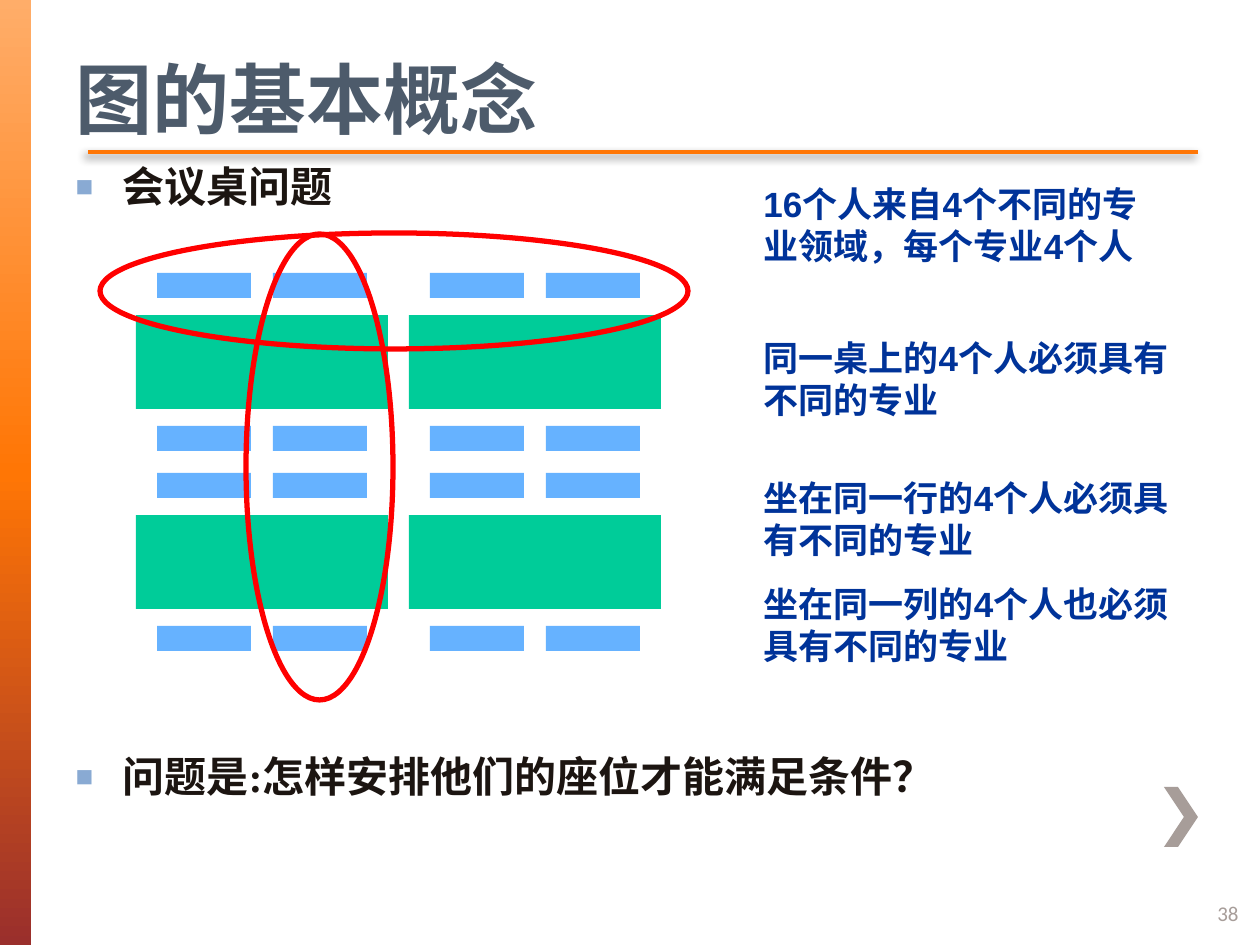
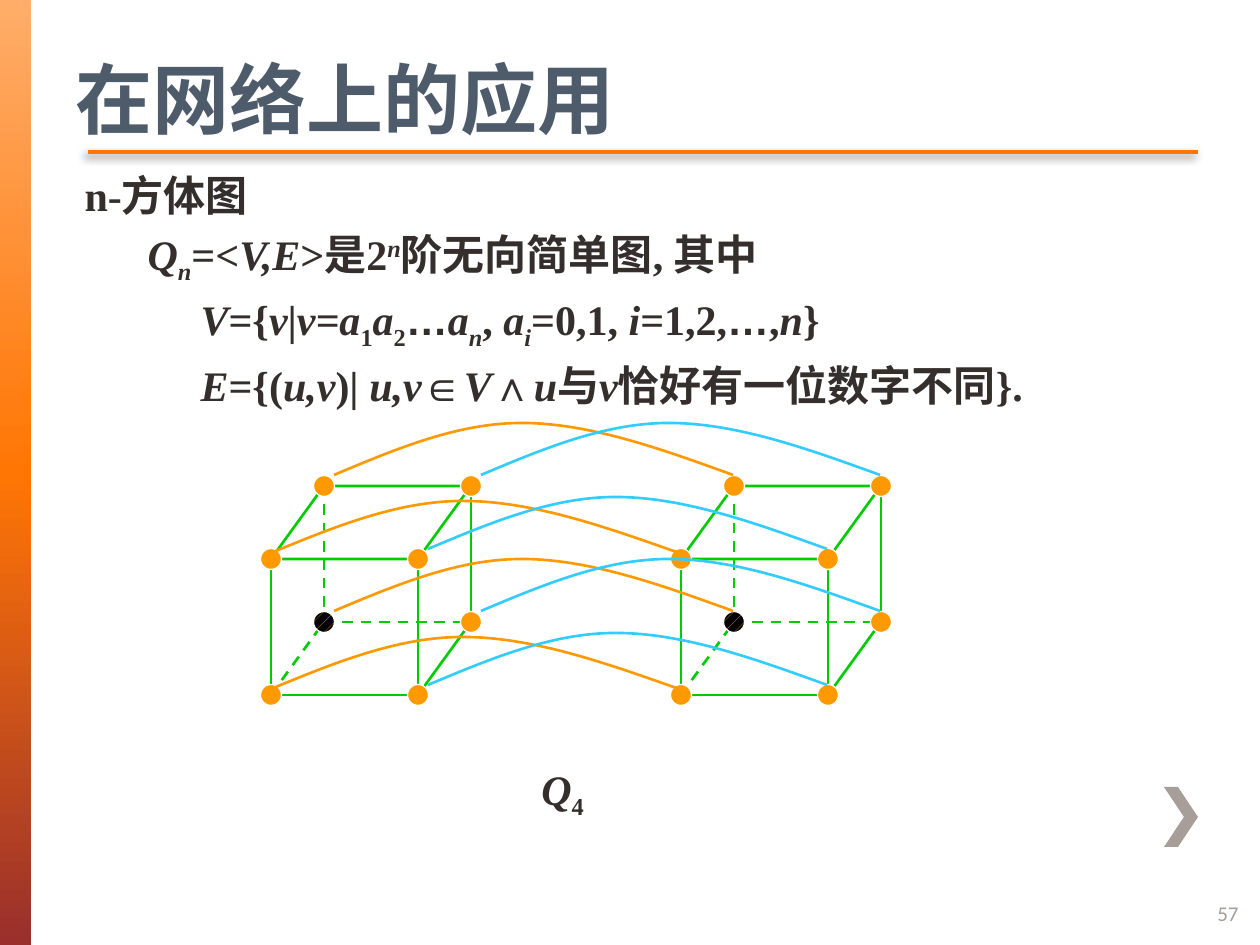
from itertools import combinations, product
from copy import deepcopy

from lxml.etree import SubElement
from pptx import Presentation
from pptx.dml.color import RGBColor
from pptx.enum.dml import MSO_LINE, MSO_PATTERN
from pptx.enum.shapes import MSO_CONNECTOR, MSO_SHAPE
from pptx.enum.text import MSO_ANCHOR, MSO_AUTO_SIZE, PP_ALIGN
from pptx.oxml.ns import qn
from pptx.util import Pt

PX = 914400 // 126
SERIF, SANS, HEAD = "Times New Roman", "Arial", "Calibri"
ORANGE, GREY, SLATE = "FF7605", "A79D99", "4D5B6B"
BAR_STOPS = [(0, "FFAD69"), (0.5, ORANGE), (1, "9A2F2C")]
INK, DARK, NAVY, BULLET = "1C1511", "342E2C", "003399", "89AAD3"
TABLE, SEAT, RING = "00CC99", "3399FF", "FF0000"
EDGE, NODE, SKY = "00CC00", "FF9900", "33CCFF"


def color(value):
    return RGBColor.from_string(value)


def px(*values):
    return [round(value * PX) for value in values]


# Basic parts
def paint(shape, fill=None, line=None, width=1.5):
    shape.shadow.inherit = False
    if fill:
        shape.fill.solid()
        shape.fill.fore_color.rgb = color(fill)
    else:
        shape.fill.background()
    if line:
        shape.line.color.rgb = color(line)
        shape.line.width = Pt(width)
    else:
        shape.line.fill.background()
    return shape


def add_preset(page, kind, box, fill=None, line=None, width=1.5):
    return paint(page.shapes.add_shape(kind, *px(*box)), fill, line, width)


def add_line(page, start, end, line, width=1.5):
    link = page.shapes.add_connector(MSO_CONNECTOR.STRAIGHT, *px(*start, *end))
    link.line.color.rgb = color(line)
    link.line.width = Pt(width)
    effects = SubElement(link._element.spPr, qn("a:effectLst"))
    return link, effects


def add_outline(page, points, closed):
    start, *rest = [px(*point) for point in points]
    builder = page.shapes.build_freeform(*start)
    builder.add_line_segments(rest, close=closed)
    return builder.convert_to_shape()


def set_font(para, name, size, ink, bold=True):
    font = para.font
    font.name, font.size, font.bold = name, Pt(size), bold
    font.color.rgb = color(ink)


def write_spans(para, spans):
    """Style letters: i italic, _ subscript, ^ superscript, a Arial."""
    for text, style in spans:
        span = para.add_run()
        span.text = text
        if "i" in style:
            span.font.italic = True
        if "a" in style:
            span.font.name = SANS
        for mark, shift in (("_", "-25000"), ("^", "30000")):
            if mark in style:
                span._r.get_or_add_rPr().set("baseline", shift)


def add_text(page, box, spans, name, size, ink, bold=True):
    label = page.shapes.add_textbox(*px(*box))
    label.text_frame.word_wrap = True
    para = label.text_frame.paragraphs[0]
    write_spans(para, spans)
    set_font(para, name, size, ink, bold)
    return label


def set_indent(para, left, first):
    props = para._p.get_or_add_pPr()
    props.set("marL", str(px(left)[0]))
    props.set("indent", str(px(first)[0]))
    return props


def place_holder(holder, box):
    holder.left, holder.top, holder.width, holder.height = px(*box)
    frame = holder.text_frame
    frame.auto_size = MSO_AUTO_SIZE.NONE
    frame.vertical_anchor = MSO_ANCHOR.TOP
    frame.word_wrap = True
    return frame


# What every slide shares
def add_side_bar(page, box):
    bar = add_preset(page, MSO_SHAPE.RECTANGLE, box)
    bar.fill.gradient()
    bar.fill.gradient_angle = 270
    stop_list = bar._element.spPr.find(".//" + qn("a:gsLst"))
    stop_list.append(deepcopy(stop_list[0]))
    for stop, (position, value) in zip(bar.fill.gradient_stops, BAR_STOPS):
        stop.position = position
        stop.color.rgb = color(value)


def add_title_rule(page, start, end):
    _, effects = add_line(page, start, end, ORANGE, 2.5)
    shadow = SubElement(effects, qn("a:outerShdw"), blurRad=str(Pt(5)),
                        dist=str(Pt(3)), dir="8100000", rotWithShape="0")
    black = SubElement(shadow, qn("a:srgbClr"), val="000000")
    SubElement(black, qn("a:alpha"), val="45000")


def add_chevron(page, box):
    left, top, width, height = box
    right, middle, bottom = left + width, top + height / 2, top + height
    notch = 14
    points = [(left, top), (left + notch, top), (right, middle),
              (left + notch, bottom), (left, bottom), (right - notch, middle)]
    paint(add_outline(page, points, True), GREY)


def start_page(deck, title, number):
    page = deck.slides.add_slide(deck.slide_layouts[1])
    add_side_bar(page, (0, 0, 31, 945))
    add_chevron(page, (1164, 787, 34, 60))
    add_title_rule(page, (88, 152), (1198, 152))
    para = place_holder(page.shapes.title, (63, 45, 1134, 100)).paragraphs[0]
    para.text = title
    para.alignment = PP_ALIGN.LEFT
    set_font(para, HEAD, 44, SLATE)
    label = add_text(page, (1205, 888, 53, 50), [(number, "")],
                     HEAD, 12, GREY, bold=False)
    label.text_frame.vertical_anchor = MSO_ANCHOR.MIDDLE
    return page


# Meeting table slide
def add_bullets(page, box, lines, gap):
    frame = place_holder(page.placeholders[1], box)
    for index, text in enumerate(lines):
        para = frame.add_paragraph() if index else frame.paragraphs[0]
        para.text = text
        props = set_indent(para, 47, -47)
        tint = SubElement(props, qn("a:buClr"))
        SubElement(tint, qn("a:srgbClr"), val=BULLET)
        SubElement(props, qn("a:buSzPct"), val="70000")
        SubElement(props, qn("a:buChar"), char="■")
        para.line_spacing = 0.9
        para.space_before = Pt(gap if index else 0)
        set_font(para, SERIF, 24, INK)


def add_meeting_table(page, left, top):
    add_preset(page, MSO_SHAPE.RECTANGLE, (left, top + 42, 252, 94), TABLE)
    for dy, dx in product((0, 153), (21, 137)):
        seat = add_preset(page, MSO_SHAPE.RECTANGLE,
                          (left + dx, top + dy, 94, 25), SEAT)
        value = seat._element.spPr.find(".//" + qn("a:srgbClr"))
        SubElement(value, qn("a:alpha"), val="75000")


def add_seating_plan(page, left, top):
    for row, column in product(range(2), repeat=2):
        add_meeting_table(page, left + 273 * column, top + 200 * row)
    # Rings round one row and one column of seats
    for ring in ((-36, -40, 588, 116), (110, -39, 147, 466)):
        dx, dy, width, height = ring
        add_preset(page, MSO_SHAPE.OVAL, (left + dx, top + dy, width, height),
                   line=RING, width=3)


def build_meeting_page(deck):
    page = start_page(deck, "图的基本概念", "38")
    add_bullets(page, (63, 160, 1134, 660),
                ["会议桌问题", "问题是:怎样安排他们的座位才能满足条件？"], 311)
    add_seating_plan(page, 136, 273)
    conditions = [
        (176, "16个人来自4个不同的专业领域，每个专业4个人"),
        (330, "同一桌上的4个人必须具有不同的专业"),
        (470, "坐在同一行的4个人必须具有不同的专业"),
        (576, "坐在同一列的4个人也必须具有不同的专业"),
    ]
    for top, text in conditions:
        add_text(page, (751, top, 431, 97), [(text, "")], SANS, 20, NAVY)


# Hypercube slide
DEFINITION = [
    (0, [("n-方体图", "")]),
    (63, [("Q", "i"), ("n", "i_"), ("=<", ""), ("V,E", "i"), (">是2", ""),
          ("n", "i^"), ("阶无向简单图, 其中", "")]),
    (116, [("V", "i"), ("={", ""), ("v", "i"), ("|", ""), ("v=a", "i"),
           ("1", "_"), ("a", "i"), ("2", "_"), ("…", "a"), ("a", "i"),
           ("n", "i_"), (", ", ""), ("a", "i"), ("i", "i_"), ("=0,1, ", ""),
           ("i", "i"), ("=1,2,", ""), ("…", "a"), (",", ""), ("n", "i"),
           ("}", "")]),
    (116, [("E", "i"), ("={(", ""), ("u,v", "i"), (")| ", ""), ("u,v", "i"),
           ("∈", ""), ("V", "i"), ("∧", ""), ("u", "i"), ("与", ""),
           ("v", "i"), ("恰好有一位数字不同}.", "")]),
]
SIDE, DROP, SHIFT, RISE = 147, 136, 53, 73
HIDDEN = (0, 1, 1)


def add_definition(page, box):
    frame = place_holder(page.placeholders[1], box)
    for index, (indent, spans) in enumerate(DEFINITION):
        para = frame.add_paragraph() if index else frame.paragraphs[0]
        SubElement(set_indent(para, indent, 0), qn("a:buNone"))
        write_spans(para, spans)
        para.space_before = Pt(4.8 if index else 0)
        set_font(para, SERIF, 24, DARK)


def add_cube(page, left, top):
    # Corners are (right, down, back) bits
    corners = {
        (right, down, back): (left + SIDE * right + SHIFT * back,
                              top + DROP * down + RISE * (1 - back))
        for right, down, back in product((0, 1), repeat=3)
    }
    lid = add_preset(page, MSO_SHAPE.PARALLELOGRAM,
                     (left, top, SIDE + SHIFT, RISE), line=EDGE)
    lid.adjustments[0] = SHIFT / RISE
    for first, second in combinations(corners, 2):
        differing = sum(a != b for a, b in zip(first, second))
        on_lid = first[1] == second[1] == 0
        if differing != 1 or on_lid:
            continue
        link, _ = add_line(page, corners[first], corners[second], EDGE)
        if HIDDEN in (first, second):
            link.line.dash_style = MSO_LINE.DASH
    for corner, (x, y) in corners.items():
        node = add_preset(page, MSO_SHAPE.OVAL, (x - 10.5, y - 10.5, 21, 21),
                          NODE, "FFFFFF", 0.75)
        if corner == HIDDEN:
            node.fill.patterned()
            node.fill.pattern = MSO_PATTERN.PERCENT_20
            node.fill.fore_color.rgb = color(NODE)
            node.fill.back_color.rgb = color("000000")


def add_arc(page, left, base, width, line):
    across = (0, 0.155, 0.31, 0.47, 0.64, 0.82, 1)
    up = (0, 0.5, 1, 1, 1, 0.5, 0)
    points = [(left + width * x, base - 52 * y) for x, y in zip(across, up)]
    arc = add_outline(page, points, False)
    # Turn each three straight segments into one Bézier curve
    path = arc._element.spPr.find(".//" + qn("a:path"))
    segments = path.findall(qn("a:lnTo"))
    for start in range(0, len(segments), 3):
        curve = SubElement(path, qn("a:cubicBezTo"))
        for segment in segments[start:start + 3]:
            curve.append(segment[0])
            path.remove(segment)
    paint(arc, line=line)


def add_hypercube(page, left, top):
    for dx in (0, 410):
        add_cube(page, left + dx, top)
    arcs = [(63, -11, 399, NODE), (210, -11, 399, SKY),
            (0, 67, 408, NODE), (157, 63, 399, SKY)]
    for dy, (dx, base, width, line) in product((0, DROP), arcs):
        add_arc(page, left + dx, top + base + dy, width, line)


def build_hypercube_page(deck):
    page = start_page(deck, "在网络上的应用", "57")
    add_definition(page, (72, 163, 1145, 388))
    add_hypercube(page, 271, 486)
    add_text(page, (529, 757, 95, 63), [("Q", "i"), ("4", "_")],
             SERIF, 24, DARK)


def main():
    deck = Presentation()
    deck.slide_width, deck.slide_height = px(1260, 945)
    build_meeting_page(deck)
    build_hypercube_page(deck)
    deck.save("out.pptx")


if __name__ == "__main__":
    main()
